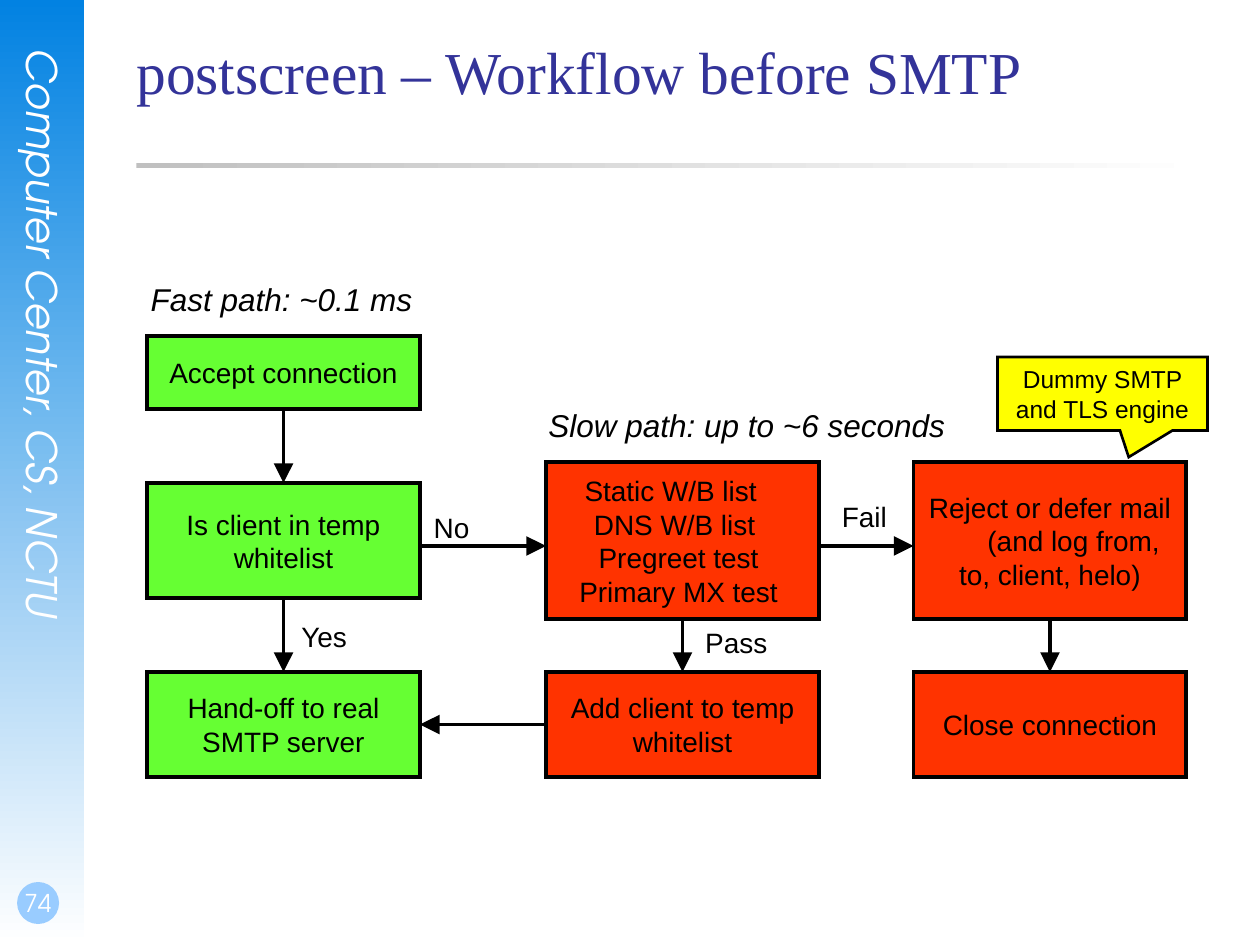
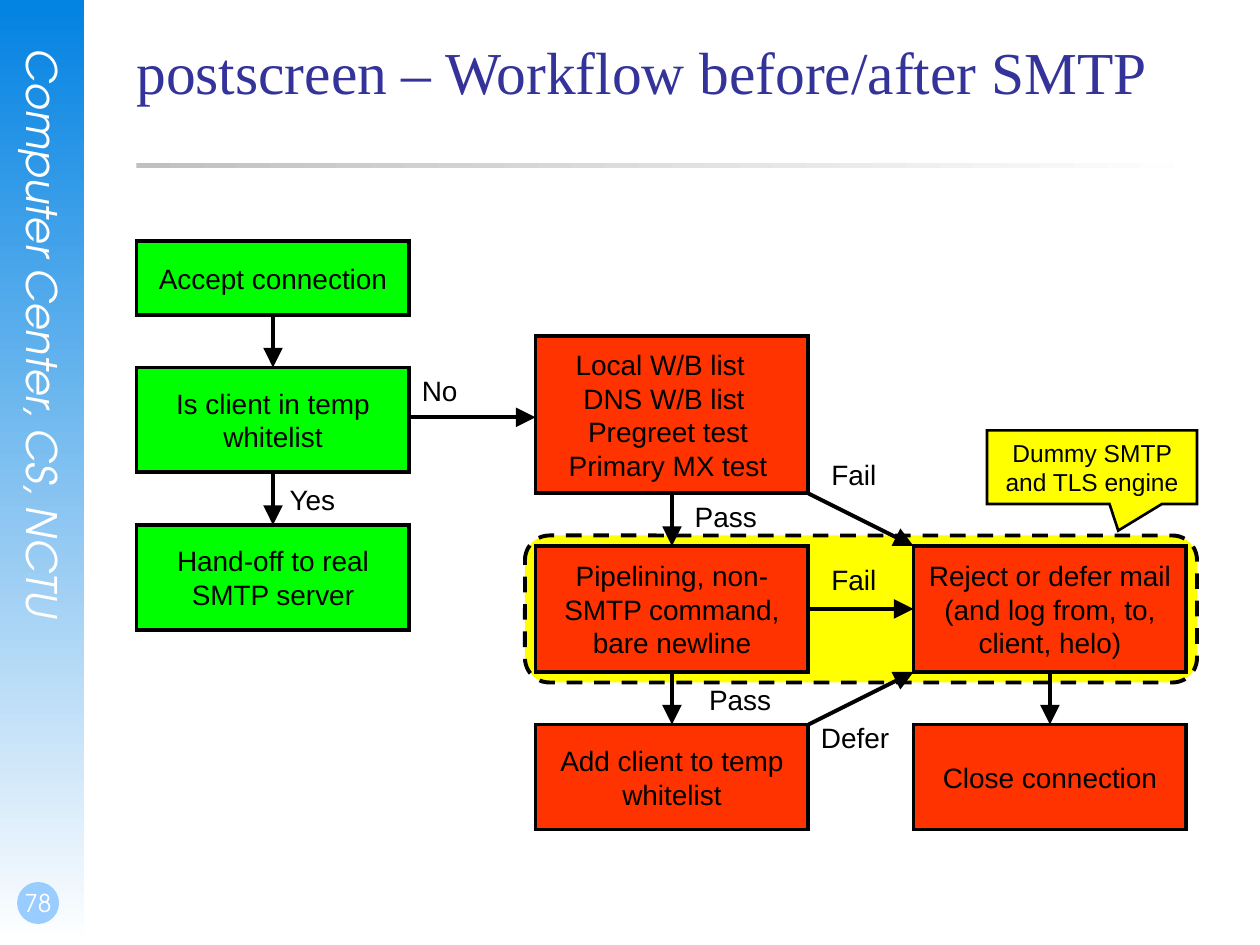
import dataclasses
import pptx
import pptx.util
import pptx.dml.color
import pptx.enum.dml
import pptx.enum.shapes
import pptx.enum.text
import pptx.oxml.ns
import lxml.etree

SHAPE = pptx.enum.shapes.MSO_SHAPE
ALIGN = pptx.enum.text.PP_ALIGN
ANCHOR = pptx.enum.text.MSO_ANCHOR
TOP, LEFT, BOTTOM, RIGHT = range(4)


@dataclasses.dataclass(frozen=True)
class Theme:
    sky: str = "0282E2"
    white: str = "FFFFFF"
    badge: str = "99CCFF"
    rule: str = "C0C0C0"
    title: str = "333399"
    ink: str = "000000"
    lime: str = "66FF33"
    green: str = "00FF00"
    red: str = "FF3300"
    yellow: str = "FFFF00"
    serif: str = "Times New Roman"
    sans: str = "Arial"
    round: str = "TeX Gyre Adventor"
    head: int = 34
    brand: int = 24
    path_size: int = 18
    body: int = 16
    small: int = 14
    line: float = 2.25
    thin: float = 1.5


T = Theme()


def px(n):
    return pptx.util.Emu(n * 9525)


def rgb(code):
    return pptx.dml.color.RGBColor.from_string(code)


def put(box, x, y, w, h):
    return box[0] + x, box[1] + y, w, h


def child(node, tag, **attrs):
    lxml.etree.SubElement(node, pptx.oxml.ns.qn(tag), attrs)


def write(frame, lines, size, font=T.sans, color=T.ink, italic=False, align=ALIGN.CENTER):
    for i, (text, shift) in enumerate(lines):
        para = frame.paragraphs[0] if i == 0 else frame.add_paragraph()
        para.alignment = align
        if shift:
            side = "marL" if shift > 0 else "marR"
            para._p.get_or_add_pPr().set(side, str(px(2 * abs(shift))))
        run = para.add_run()
        run.text = text
        run.font.size = pptx.util.Pt(size)
        run.font.name = font
        run.font.italic = italic
        run.font.color.rgb = rgb(color)


def area(slide, box, inset=(0, 0, 0, 0)):
    frame = slide.shapes.add_textbox(*map(px, box)).text_frame
    frame.word_wrap = True
    frame.margin_left, frame.margin_top, frame.margin_right, frame.margin_bottom = map(px, inset)
    return frame


def solid(slide, kind, box, fill, width=None):
    shape = slide.shapes.add_shape(kind, *map(px, box))
    shape.shadow.inherit = False
    shape.fill.solid()
    shape.fill.fore_color.rgb = rgb(fill)
    if width:
        shape.line.color.rgb = rgb(T.ink)
        shape.line.width = pptx.util.Pt(width)
        child(shape.line._get_or_add_ln(), "a:miter", lim="800000")
    else:
        shape.line.fill.background()
    return shape


def fade(slide, box, start, angle):
    shape = solid(slide, SHAPE.RECTANGLE, box, start)
    shape.fill.gradient()
    shape.fill.gradient_angle = angle
    for stop, code, pos in zip(shape.fill.gradient_stops, (start, T.white), (0, 1)):
        stop.color.rgb = rgb(code)
        stop.position = pos


def step(slide, box, fill, *lines):
    shape = solid(slide, SHAPE.RECTANGLE, box, fill, T.line)
    frame = shape.text_frame
    frame.word_wrap = True
    frame.vertical_anchor = ANCHOR.MIDDLE
    write(frame, [(item, 0) if isinstance(item, str) else item for item in lines], T.body)
    return shape


def label(slide, box, text, size=T.body, italic=False):
    frame = area(slide, box, (2, 5, 2, 5))
    frame.word_wrap = False
    frame.auto_size = pptx.enum.text.MSO_AUTO_SIZE.SHAPE_TO_FIT_TEXT
    write(frame, [(text, 0)], size, italic=italic)


def arrow(slide, start, end):
    line = slide.shapes.add_connector(
        pptx.enum.shapes.MSO_CONNECTOR.STRAIGHT, *map(px, start + end))
    line.line.color.rgb = rgb(T.ink)
    line.line.width = pptx.util.Pt(T.line)
    child(line.line._get_or_add_ln(), "a:tailEnd", type="triangle", w="lg", len="lg")
    child(line._element.spPr, "a:effectLst")
    return line


def join(slide, first, out, last, into):
    line = arrow(slide, (0, 0), (0, 0))
    line.begin_connect(first, out)
    line.end_connect(last, into)


def note(slide, box):
    shape = solid(slide, SHAPE.RECTANGULAR_CALLOUT, box, T.yellow, T.thin)
    shape.adjustments[0] = 0.125
    shape.adjustments[1] = 0.863
    shape.text_frame.word_wrap = True
    shape.text_frame.vertical_anchor = ANCHOR.MIDDLE
    write(shape.text_frame, [("Dummy SMTP and TLS engine", 0)], T.small)


def band(slide, box, number):
    fade(slide, box, T.sky, 270)
    brand = area(slide, put(box, 14, 37, 38, 490))
    brand._txBody.bodyPr.set("vert", "eaVert")
    write(brand, [("Computer Center, CS, NCTU", 0)], T.brand, T.round, T.white, True)
    solid(slide, SHAPE.OVAL, put(box, 13, 672, 32, 32), T.badge)
    page = area(slide, put(box, 0, 656, 56, 48), (2, 0, 0, 5))
    page.vertical_anchor = ANCHOR.BOTTOM
    write(page, [(str(number), 0)], T.small, T.round, T.white)


def head(slide, box, text):
    fade(slide, put(box, 0, 97, box[2], 4), T.rule, 0)
    write(area(slide, box), [(text, 0)], T.head, T.serif, T.title, align=ALIGN.LEFT)


def quick(slide, box, fill, tops, highs):
    texts = "Accept connection", "Is client in temp whitelist", "Hand-off to real SMTP server"
    steps = [step(slide, put(box, 0, top, box[2], high), fill, text)
             for top, high, text in zip(tops, highs, texts)]
    for first, last in zip(steps, steps[1:]):
        join(slide, first, BOTTOM, last, TOP)
    return steps


def tests(slide, box, first):
    return step(slide, box, T.red, (first, -9), ("DNS W/B list", -6),
                ("Pregreet test", -3), "Primary MX test")


def finish(slide, box):
    return step(slide, box, T.red, "Close connection")


def add(slide, box):
    return step(slide, box, T.red, "Add client to temp whitelist")


def before(slide, box):
    hand = quick(slide, put(box, 8, 96, 208, 336), T.lime, (0, 112, 256), (56, 88, 80))[-1]
    check = tests(slide, put(box, 312, 192, 208, 120), "Static W/B list")
    store = add(slide, put(box, 312, 352, 208, 80))
    reject = step(slide, put(box, 592, 192, 208, 120), T.red,
                  "Reject or defer mail", ("(and log from,", 18), "to, client, helo)")
    close = finish(slide, put(box, 592, 352, 208, 80))
    join(slide, check, BOTTOM, store, TOP)
    join(slide, reject, BOTTOM, close, TOP)
    join(slide, store, LEFT, hand, RIGHT)
    for left, right in ((216, 312), (520, 592)):
        arrow(slide, put(box, left, 256, 0, 0)[:2], put(box, right, 256, 0, 0)[:2])
    for text, x, y, w in (("No", 217, 224, 46), ("Yes", 115, 307, 56),
                          ("Pass", 424, 312, 66), ("Fail", 528, 216, 53)):
        label(slide, put(box, x, y, w, 35), text)
    label(slide, put(box, 1, 48, 219, 38), "Fast path: ~0.1 ms", T.path_size, True)
    label(slide, put(box, 304, 144, 322, 38), "Slow path: up to ~6 seconds", T.path_size, True)
    note(slide, put(box, 656, 112, 160, 56))


def after(slide, box):
    zone = solid(slide, SHAPE.ROUNDED_RECTANGLE, put(box, 296, 248, 512, 112), T.yellow, T.line)
    zone.line.dash_style = pptx.enum.dml.MSO_LINE.DASH
    quick(slide, put(box, 0, 24, 208, 296), T.green, (0, 96, 216), (56, 80, 80))
    check = tests(slide, put(box, 304, 96, 208, 120), "Local W/B list")
    probe = step(slide, put(box, 304, 256, 208, 96), T.red,
                 "Pipelining, non-SMTP command, bare newline")
    store = add(slide, put(box, 304, 392, 208, 80))
    reject = step(slide, put(box, 592, 256, 208, 96), T.red,
                  "Reject or defer mail (and log from, to, client, helo)")
    close = finish(slide, put(box, 592, 392, 208, 80))
    join(slide, check, BOTTOM, probe, TOP)
    join(slide, probe, BOTTOM, store, TOP)
    join(slide, reject, BOTTOM, close, TOP)
    join(slide, probe, RIGHT, reject, LEFT)
    for x, y, right, low in ((208, 158, 304, 158), (512, 216, 592, 256), (512, 392, 592, 352)):
        arrow(slide, put(box, x, y, 0, 0)[:2], put(box, right, low, 0, 0)[:2])
    for text, x, y, w in (("No", 208, 120, 46), ("Yes", 106, 203, 56),
                          ("Pass", 416, 216, 66), ("Fail", 520, 184, 53),
                          ("Pass", 427, 355, 66), ("Fail", 520, 264, 53),
                          ("Defer", 512, 384, 71)):
        label(slide, put(box, x, y, w, 35), text)
    note(slide, put(box, 648, 168, 160, 56))


def main():
    deck = pptx.Presentation()
    deck.slide_width, deck.slide_height = px(960), px(720)
    for number, text, flow in ((74, "postscreen – Workflow before SMTP", before),
                               (78, "postscreen – Workflow before/after SMTP", after)):
        slide = deck.slides.add_slide(deck.slide_layouts[6])
        band(slide, (0, 0, 64, 720), number)
        head(slide, (104, 27, 816, 120), text)
        flow(slide, (104, 160, 816, 480))
    deck.save("out.pptx")


if __name__ == "__main__":
    main()
